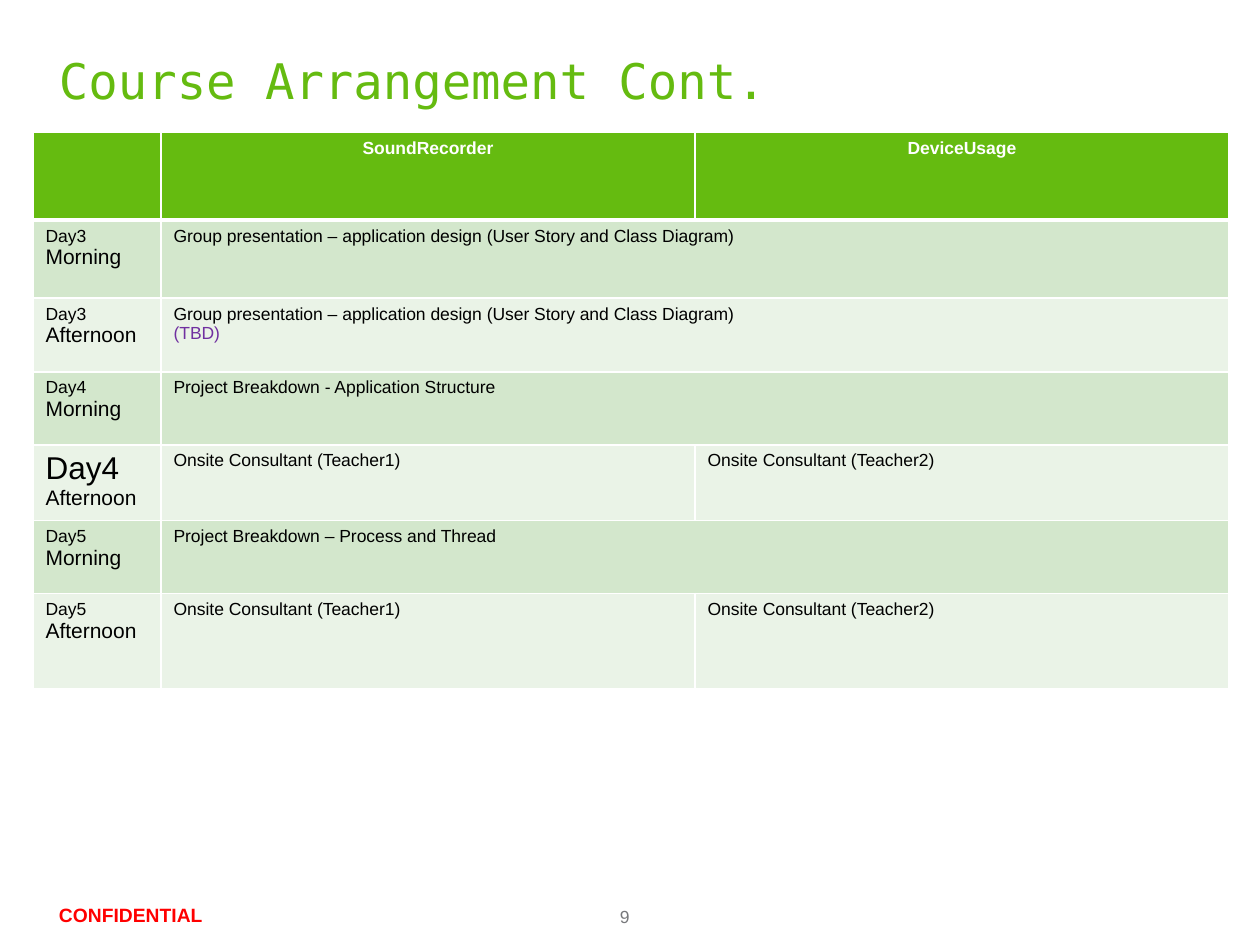
from lxml import etree
from pptx import Presentation
from pptx import util as u
from pptx.dml.color import RGBColor
from pptx.enum import text
from pptx.oxml import ns

PX = 914400 / 126
GREEN = RGBColor(0x65, 0xBB, 0x10)
BAND_DARK = RGBColor(0xD3, 0xE7, 0xCC)
BAND_LIGHT = RGBColor(0xEA, 0xF3, 0xE7)
WHITE = RGBColor(0xFF, 0xFF, 0xFF)
BLACK = RGBColor(0, 0, 0)
RED = RGBColor(0xFF, 0, 0)
GRAY = RGBColor(0x77, 0x78, 0x7B)
PURPLE = RGBColor(0x70, 0x30, 0xA0)


def px(n):
    return u.Emu(round(n * PX))


def add_run(p, words, size, color, bold=False, font="Arial"):
    r = p.add_run()
    r.text = words
    r.font.size = u.Pt(size)
    r.font.name = font
    r.font.bold = bold
    r.font.color.rgb = color


prs = Presentation()
prs.slide_width, prs.slide_height = px(1260), px(945)
s = prs.slides.add_slide(prs.slide_layouts[6])

TOP, MIDDLE = text.MSO_ANCHOR.TOP, text.MSO_ANCHOR.MIDDLE
labels = [
    ("9", (620, 897, 149, 26), 10, GRAY, False, "Arial", TOP, u.Pt(17)),
    ("CONFIDENTIAL", (59, 897, 183, 26), 11, RED, True, "Arial", TOP, u.Pt(17)),
    ("Course Arrangement Cont.", (59, 44, 1142, 72), 28, GREEN, False,
     "DejaVu Sans Mono", MIDDLE, None),
]
for words, box, size, color, bold, font, anchor, spacing in labels:
    tf = s.shapes.add_textbox(*map(px, box)).text_frame
    tf.word_wrap = True
    tf.margin_left = tf.margin_right = tf.margin_top = tf.margin_bottom = 0
    tf.vertical_anchor = anchor
    p = tf.paragraphs[0]
    p.line_spacing = spacing
    add_run(p, words, size, color, bold, font)

DESIGN = "Group presentation – application design (User Story and Class Diagram)"
TEACHERS = ["Onsite Consultant (Teacher1)", "Onsite Consultant (Teacher2)"]
schedule = [
    ("Day3", 10, "Morning", [DESIGN]),
    ("Day3", 10, "Afternoon", [DESIGN]),
    ("Day4", 10, "Morning", ["Project Breakdown - Application Structure"]),
    ("Day4", 18, "Afternoon", TEACHERS),
    ("Day5", 10, "Morning", ["Project Breakdown – Process and Thread"]),
    ("Day5", 10, "Afternoon", TEACHERS),
]
col_widths = [128, 534, 534]
row_heights = [88, 78, 74, 73, 74, 73, 95]

tbl = s.shapes.add_table(len(row_heights), len(col_widths), px(33), px(132),
                         px(sum(col_widths)), px(sum(row_heights))).table
tbl.first_row = tbl.horz_banding = False
for col, width in zip(tbl.columns, col_widths):
    col.width = px(width)
for row, height in zip(tbl.rows, row_heights):
    row.height = px(height)

for i, row in enumerate(tbl.rows):
    for cell in row.cells:
        cell.fill.solid()
        cell.fill.fore_color.rgb = GREEN if i == 0 else BAND_DARK if i % 2 else BAND_LIGHT
        tcPr = cell._tc.get_or_add_tcPr()
        for n, side in enumerate("LRTB"):
            thick = (i, side) in [(0, "B"), (1, "T")]
            ln = etree.Element(ns.qn(f"a:ln{side}"), w=str(u.Pt(3 if thick else 1)))
            fill = etree.SubElement(ln, ns.qn("a:solidFill"))
            etree.SubElement(fill, ns.qn("a:srgbClr"), val=str(WHITE))
            tcPr.insert(n, ln)

for j, project in enumerate(["SoundRecorder", "DeviceUsage"], 1):
    p = tbl.cell(0, j).text_frame.paragraphs[0]
    p.alignment = text.PP_ALIGN.CENTER
    add_run(p, project, 10, WHITE, True)

for i, (day, day_size, half, sessions) in enumerate(schedule, 1):
    tf = tbl.cell(i, 0).text_frame
    add_run(tf.paragraphs[0], day, day_size, BLACK)
    add_run(tf.add_paragraph(), half, 12, BLACK)
    if len(sessions) == 1:
        tbl.cell(i, 1).merge(tbl.cell(i, 2))
    for j, session in enumerate(sessions, 1):
        add_run(tbl.cell(i, j).text_frame.paragraphs[0], session, 10, BLACK)

add_run(tbl.cell(2, 1).text_frame.add_paragraph(), "(TBD)", 10, PURPLE)

prs.save("out.pptx")
